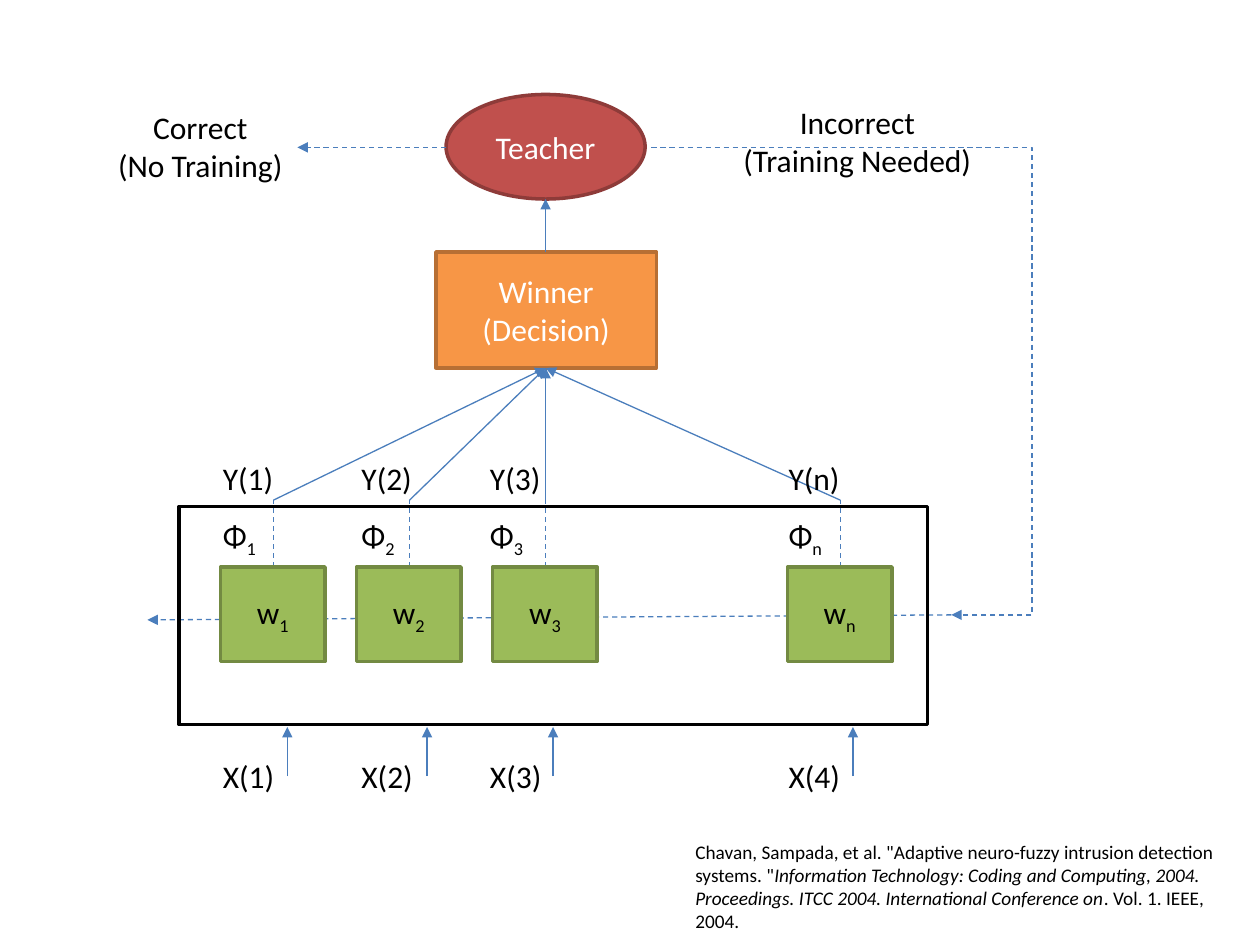
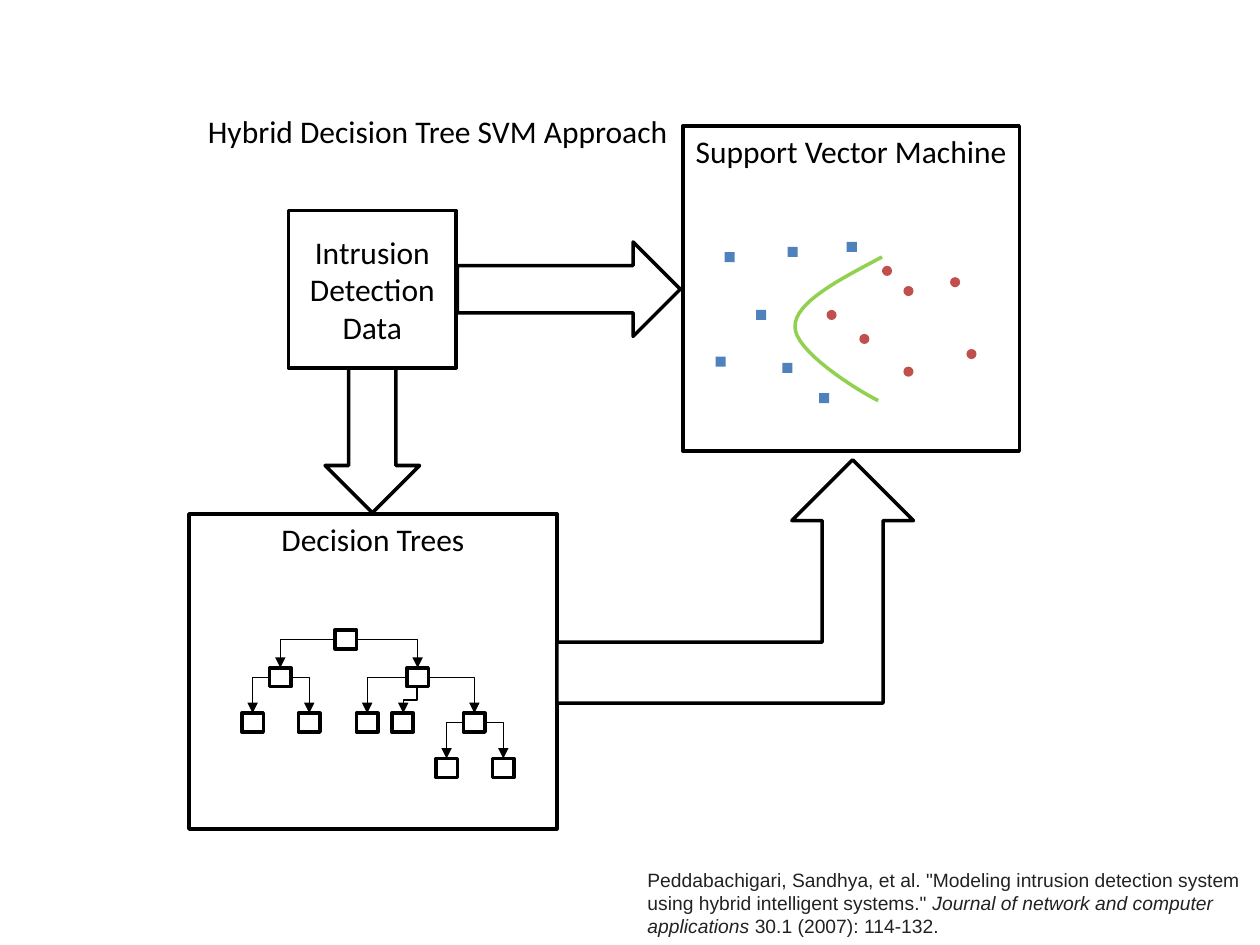
from lxml import etree
from pptx import Presentation
from pptx.dml.color import RGBColor
from pptx.enum.dml import MSO_LINE
from pptx.enum.shapes import MSO_CONNECTOR, MSO_SHAPE
from pptx.enum.text import MSO_ANCHOR, MSO_AUTO_SIZE, PP_ALIGN
from pptx.oxml.ns import qn
from pptx.util import Inches, Pt

RECT, OVAL = MSO_SHAPE.RECTANGLE, MSO_SHAPE.OVAL
ARROW, BENT = MSO_SHAPE.RIGHT_ARROW, MSO_SHAPE.BENT_UP_ARROW
LINE, ELBOW = MSO_CONNECTOR.STRAIGHT, MSO_CONNECTOR.ELBOW
DASH, FIT = MSO_LINE.DASH, MSO_AUTO_SIZE.SHAPE_TO_FIT_TEXT
LEFT, MID = PP_ALIGN.LEFT, PP_ALIGN.CENTER
TOP, CENTER = MSO_ANCHOR.TOP, MSO_ANCHOR.MIDDLE

BLACK = RGBColor(0x00, 0x00, 0x00)
WHITE = RGBColor(0xFF, 0xFF, 0xFF)
INK = RGBColor(0x22, 0x22, 0x22)
BLUE = RGBColor(0x4F, 0x81, 0xBD)
WIRE = RGBColor(0x4B, 0x7E, 0xBC)
RED = RGBColor(0xC0, 0x50, 0x4D)
MAROON = RGBColor(0x8E, 0x3B, 0x39)
ORANGE = RGBColor(0xF7, 0x96, 0x46)
BROWN = RGBColor(0xB7, 0x6F, 0x34)
GREEN = RGBColor(0x9B, 0xBB, 0x59)
OLIVE = RGBColor(0x73, 0x8A, 0x42)
LIME = RGBColor(0x92, 0xD0, 0x50)

TITLE_ONLY, BLANK = 5, 6


class Deck:
    """Holds the shared style and the current slide."""

    font, size, small = "Calibri", 18, 11
    thick, thin = Pt(2), Pt(0.75)

    def __init__(self):
        self.prs = Presentation()
        self.prs.slide_width, self.prs.slide_height = Inches(10), Inches(7.5)

    def add(self, layout):
        self.slide = self.prs.slides.add_slide(self.prs.slide_layouts[layout])
        self.shapes = self.slide.shapes

    def fill_text(self, shape, lines, align=MID, color=BLACK, size=size, font=font):
        """Each line is a string or a list of (text, style) runs."""
        frame = shape.text_frame
        for i, line in enumerate(lines):
            para = frame.add_paragraph() if i else frame.paragraphs[0]
            para.alignment = align
            para.font.name, para.font.size = font, Pt(size)
            para.font.color.rgb = color
            for text, style in [(line, "")] if isinstance(line, str) else line:
                run = para.add_run()
                run.text = text
                if style == "italic":
                    run.font.italic = True
                elif style == "sub":
                    run.font._element.set("baseline", "-25000")

    def shape(self, kind, x, y, w, h, fill=WHITE, edge=BLACK, lines=(),
              color=BLACK, anchor=CENTER):
        item = self.shapes.add_shape(kind, Inches(x), Inches(y), Inches(w), Inches(h))
        item.shadow.inherit = False
        if fill is None:
            item.fill.background()
        else:
            item.fill.solid()
            item.fill.fore_color.rgb = fill
        if edge is None:
            item.line.fill.background()
        else:
            item.line.color.rgb, item.line.width = edge, self.thick
        if lines:
            item.text_frame.vertical_anchor = anchor
            self.fill_text(item, lines, color=color)
        return item

    def label(self, x, y, w, h, lines, wrap=False, **style):
        box = self.shapes.add_textbox(Inches(x), Inches(y), Inches(w), Inches(h))
        box.text_frame.word_wrap = wrap
        box.text_frame.auto_size = FIT
        self.fill_text(box, lines, **style)

    def title(self, x, y, w, h, text):
        box = self.shapes.title
        box.left, box.top, box.width, box.height = map(Inches, (x, y, w, h))
        frame = box.text_frame
        frame.word_wrap, frame.vertical_anchor = False, TOP
        frame.auto_size = FIT
        self.fill_text(box, [text], LEFT)

    def cite(self, x, y, w, h, runs, **style):
        self.label(x, y, w, h, [runs], True, align=LEFT, size=self.small, **style)

    def wire(self, x1, y1, x2, y2, kind=LINE, color=WIRE, dash=False, head=True):
        item = self.shapes.add_connector(kind, *map(Inches, (x1, y1, x2, y2)))
        item.line.color.rgb, item.line.width = color, self.thin
        if dash:
            item.line.dash_style = DASH
        if head:
            etree.SubElement(item.line._get_or_add_ln(), qn("a:tailEnd"), type="triangle")
        etree.SubElement(item._element.spPr, qn("a:effectLst"))
        return item

    def bend(self, *ends, color=BLACK, preset="bentConnector2", adj=None,
             turn=0, dash=False):
        item = self.wire(*ends, kind=ELBOW, color=color, dash=dash)
        props = item._element.spPr
        geom = props.find(qn("a:prstGeom"))
        geom.set("prst", preset)
        if adj:
            etree.SubElement(geom.find(qn("a:avLst")), qn("a:gd"),
                             name="adj1", fmla=f"val {adj}")
        if turn:
            props.find(qn("a:xfrm")).set("rot", str(turn * 60000))

    def curve(self, parts, color, steps=16):
        """Draws joined cubic curves, each given by four points."""
        dots = []
        for part in parts:
            for i in range(steps + 1):
                t = i / steps
                ratios = ((1 - t) ** 3, 3 * t * (1 - t) ** 2, 3 * t * t * (1 - t), t ** 3)
                dots.append(tuple(Inches(sum(r * p[k] for r, p in zip(ratios, part)))
                                  for k in (0, 1)))
        pen = self.shapes.build_freeform(*dots[0])
        pen.add_line_segments(dots[1:], close=False)
        item = pen.convert_to_shape()
        item.shadow.inherit = False
        item.fill.background()
        item.line.color.rgb, item.line.width = color, self.thick


deck = Deck()

# Slide 1: neuro-fuzzy network
deck.add(BLANK)
hub = 4.33
deck.shape(OVAL, 3.54, 0.75, 1.58, 0.83, RED, MAROON, ["Teacher"], WHITE)
deck.label(0.83, 0.81, 1.52, 0.71, ["Correct", "(No Training)"])
deck.wire(3.54, 1.17, 2.36, 1.17, dash=True)
deck.shape(RECT, 3.46, 2, 1.75, 0.92, ORANGE, BROWN, ["Winner", "(Decision)"], WHITE)
deck.wire(hub, 2, hub, 1.58)

# Feedback loop, behind the weights
deck.bend(5.17, 1.17, 7.55, 4.88, color=WIRE, preset="bentConnector3",
          adj=126900, dash=True)
deck.wire(7.55, 4.88, 1.17, 4.92, dash=True)

# Units: index, input, centre, label left, input arrow
units = [("1", "1", 2.17, 1.67, 2.28), ("2", "2", 3.25, 2.77, 3.39),
         ("3", "3", 4.33, 3.79, 4.39), ("n", "4", 6.67, 6.16, 6.77)]
for index, source, mid, left, feed in units:
    deck.wire(mid, 3.97, hub, 2.92)
    deck.wire(mid, 4.5, mid, 3.97, dash=True, head=False)
    deck.shape(RECT, mid - 0.42, 4.5, 0.83, 0.75, GREEN, OLIVE,
               [[("w", ""), (index, "sub")]])
    deck.label(left, 4.05, 0.48, 0.4, [[("Φ", ""), (index, "sub")]], align=LEFT)
    deck.label(left, 3.59, 0.61, 0.4, [f"Y({index})"], align=LEFT)
    deck.label(left, 5.96, 0.62, 0.4, [f"X({source})"], align=LEFT)
    deck.wire(feed, 6.16, feed, 5.77)
deck.shape(RECT, 1.42, 4.02, 5.94, 1.73, None)

deck.label(5.79, 0.77, 2.03, 0.71, ["Incorrect", "(Training Needed)"])
deck.cite(5.42, 6.62, 4.5, 0.84, [
    ('Chavan, Sampada, et al. "Adaptive neuro-fuzzy intrusion detection systems. "', ""),
    ("Information Technology: Coding and Computing, 2004. Proceedings. "
     "ITCC 2004. International Conference on", "italic"),
    (". Vol. 1. IEEE, 2004.", "")])

# Slide 2: decision trees with a support vector machine
deck.add(TITLE_ONLY)
deck.title(1.55, 0.84, 3.87, 0.4, "Hybrid Decision Tree SVM Approach")

# Two classes of points and the border between them
deck.shape(RECT, 5.42, 1, 2.67, 2.58, lines=["Support Vector Machine"], anchor=TOP)
squares = [(5.75, 2), (6.25, 1.96), (6, 2.46), (5.68, 2.83),
           (6.5, 3.12), (6.72, 1.92), (6.21, 2.88)]
dots = [(7, 2.11), (6.56, 2.46), (6.82, 2.65), (7.54, 2.2),
        (7.67, 2.77), (7.17, 2.27), (7.17, 2.91)]
for kind, fill, spots in ((RECT, BLUE, squares), (OVAL, RED, dots)):
    for x, y in spots:
        deck.shape(kind, x, y, 0.08, 0.08, fill, None)
deck.curve([[(7, 2.04), (6.66, 2.22), (6.31, 2.4), (6.31, 2.59)],
            [(6.31, 2.59), (6.3, 2.78), (6.79, 3.09), (6.97, 3.18)]], LIME)

# Tree: nodes by level, then links from a parent's side to a child's top
deck.shape(RECT, 1.5, 4.08, 2.92, 2.5, lines=["Decision Trees"], anchor=TOP)
wide, high = 0.17, 0.15
levels = [(5, "a", [2.66]), (5.3, "bc", [2.14, 3.23]),
          (5.66, "defgh", [1.92, 2.37, 2.83, 3.11, 3.68]),
          (6.02, "ij", [3.46, 3.91])]
nodes = {}
for y, names, lefts in levels:
    for name, x in zip(names, lefts):
        nodes[name] = x, y
        deck.shape(RECT, x, y, wide, high)
for parent, child in ("ab", "ac", "bd", "be", "cf", "ch", "hi", "hj"):
    (px, py), (cx, cy) = nodes[parent], nodes[child]
    side = px + wide if cx > px else px
    deck.bend(side, py + high / 2, cx + wide / 2, cy)
deck.bend(3.15, 5.5, 3.36, 5.61, preset="bentConnector3", turn=90)

# Flow of the data
deck.shape(ARROW, 3.63, 1.92, 1.77, 0.75)
deck.shape(ARROW, 2.07, 2.81, 1.77, 0.75).rotation = 90
deck.shape(RECT, 2.29, 1.67, 1.33, 1.25, lines=["Intrusion Detection Data"])
deck.shape(BENT, 4.42, 3.65, 2.83, 1.93)

deck.cite(5.04, 6.84, 5, 0.66, [
    ('Peddabachigari, Sandhya, et al. "Modeling intrusion detection system '
     'using hybrid intelligent systems." ', ""),
    ("Journal of network and computer applications", "italic"),
    (" 30.1 (2007): 114-132.", "")], color=INK, font="Arial")

deck.prs.save("out.pptx")
